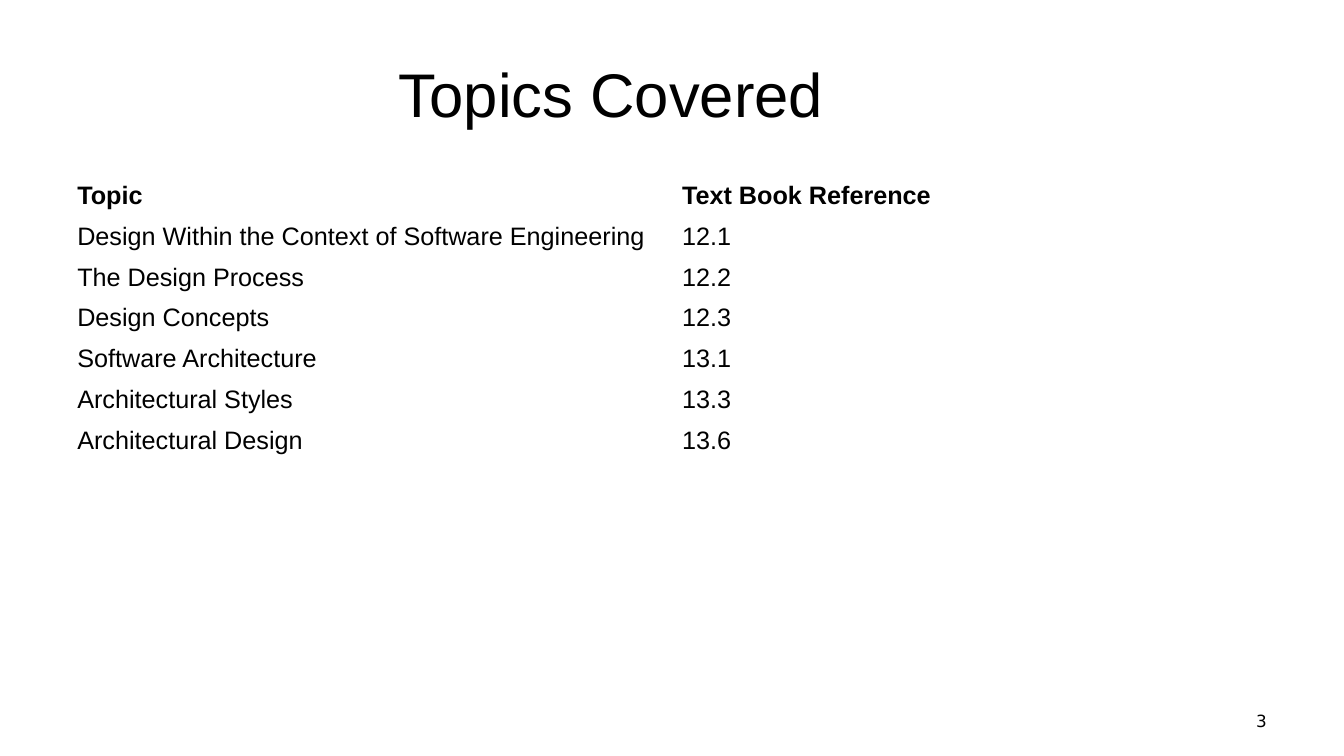
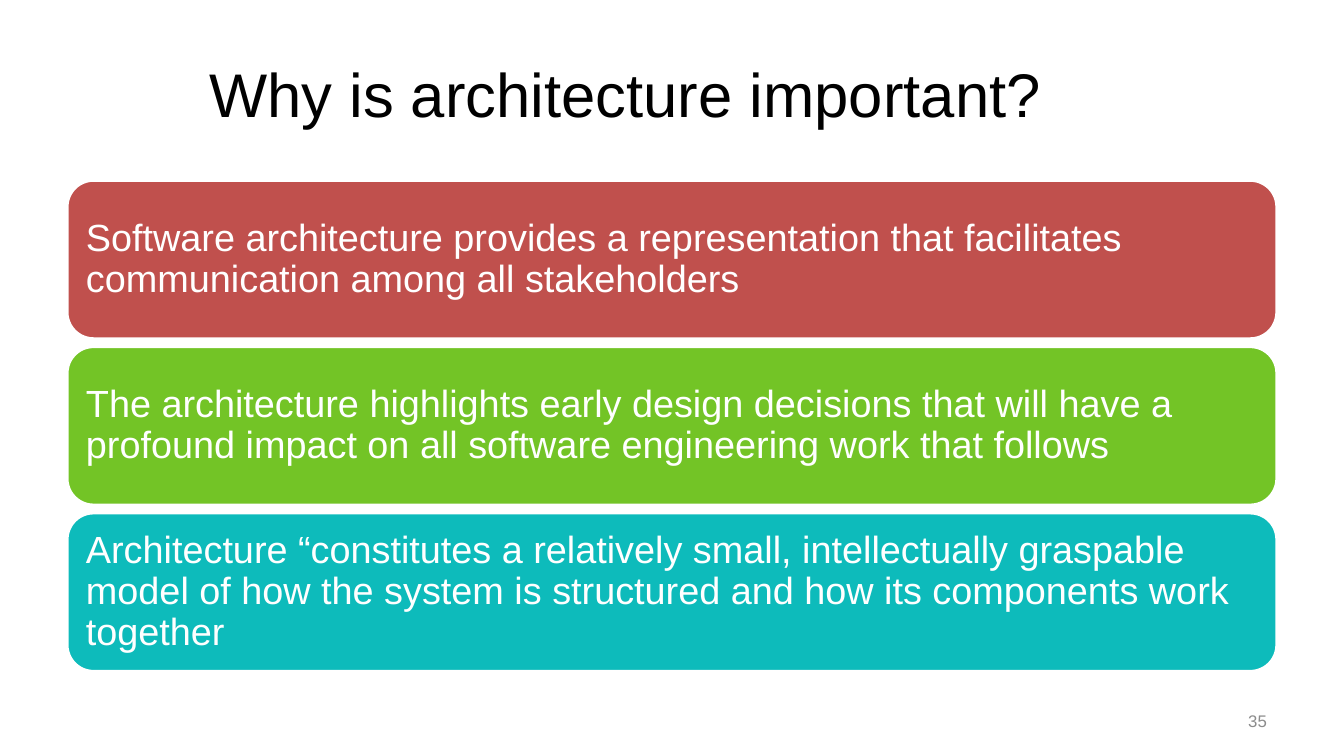
from dataclasses import dataclass

from pptx import Presentation
from pptx.dml.color import RGBColor
from pptx.enum.shapes import MSO_SHAPE as Shape
from pptx.enum.text import MSO_ANCHOR as Anchor, MSO_AUTO_SIZE as AutoSize, PP_ALIGN as Align
from pptx.util import Inches, Pt


@dataclass(frozen=True)
class Theme:
    font: str = "Arial"
    plain_font: str = "DejaVu Sans"
    ink: str = "000000"
    muted: str = "8C8C8C"
    white: str = "FFFFFF"
    cards: tuple = ("C0504D", "73C426", "0DBBBB")
    title_size: int = 44
    card_size: int = 27
    table_size: int = 18
    number_size: int = 12


theme = Theme()
deck = Presentation()
deck.slide_width, deck.slide_height = Inches(13.33), Inches(7.5)
WIDTH, HEIGHT = deck.slide_width, deck.slide_height
MARGIN = int(WIDTH * 0.05)
CONTENT_WIDTH = WIDTH - 2 * MARGIN


def add_span(para, text, size, color, font=theme.font, bold=False):
    span = para.add_run()
    span.text = text
    span.font.name, span.font.size, span.font.bold = font, Pt(size), bold
    span.font.color.rgb = RGBColor.from_string(color)


def add_page(title, number, number_color, number_font):
    """Add a title-only page with its title and page number."""
    page = deck.slides.add_slide(deck.slide_layouts[5])
    heading = page.shapes.title
    heading.left, heading.top = MARGIN, int(HEIGHT * 0.04)
    heading.width, heading.height = int(WIDTH * 0.831), int(HEIGHT / 6)
    frame = heading.text_frame
    frame.auto_size = AutoSize.NONE
    frame.vertical_anchor = Anchor.MIDDLE
    frame.paragraphs[0].alignment = Align.CENTER
    add_span(frame.paragraphs[0], title, theme.title_size, theme.ink)

    number_width = int(WIDTH * 0.233)
    box = page.shapes.add_textbox(WIDTH - MARGIN - number_width, int(HEIGHT * 0.927),
                                  number_width, int(HEIGHT * 0.053))
    frame = box.text_frame
    frame.word_wrap = True
    frame.vertical_anchor = Anchor.MIDDLE
    frame.paragraphs[0].alignment = Align.RIGHT
    add_span(frame.paragraphs[0], number, theme.number_size, number_color, number_font)
    return page


# Topics table
topics = [
    ("Topic", "Text Book Reference"),
    ("Design Within the Context of Software Engineering", "12.1"),
    ("The Design Process", "12.2"),
    ("Design Concepts", "12.3"),
    ("Software Architecture", "13.1"),
    ("Architectural Styles", "13.3"),
    ("Architectural Design", "13.6"),
]
topics += [("", "")] * 3

page = add_page("Topics Covered\t", "3", theme.ink, theme.plain_font)
table = page.shapes.add_table(len(topics), 2, MARGIN, Inches(1.75),
                              CONTENT_WIDTH, int(HEIGHT * 0.541)).table
table.first_row = table.horz_banding = False
for row, entries in enumerate(topics):
    for column, text in enumerate(entries):
        cell = table.cell(row, column)
        cell.fill.background()
        if text:
            add_span(cell.text_frame.paragraphs[0], text, theme.table_size, theme.ink,
                     bold=row == 0)

# Reasons as stacked cards
reasons = [
    "Software architecture provides a representation that facilitates communication "
    "among all stakeholders",
    "The architecture highlights early design decisions that will have a profound impact "
    "on all software engineering work that follows",
    "Architecture “constitutes a relatively small, intellectually graspable model of how "
    "the system is structured and how its components work together",
]
CARD_TOP, CARD_HEIGHT, CARD_GAP = Inches(1.79), Inches(1.57), Inches(0.08)

page = add_page("Why is architecture important?", "35", theme.muted, theme.font)
for index, (reason, color) in enumerate(zip(reasons, theme.cards)):
    card = page.shapes.add_shape(Shape.ROUNDED_RECTANGLE, MARGIN,
                                 CARD_TOP + index * (CARD_HEIGHT + CARD_GAP),
                                 CONTENT_WIDTH, CARD_HEIGHT)
    card.shadow.inherit = False
    card.fill.solid()
    card.fill.fore_color.rgb = RGBColor.from_string(color)
    card.line.color.rgb = RGBColor.from_string(theme.white)
    card.line.width = Pt(2)
    frame = card.text_frame
    frame.word_wrap = True
    frame.vertical_anchor = Anchor.MIDDLE
    frame.margin_left = frame.margin_right = Inches(0.11)
    frame.margin_top = frame.margin_bottom = Inches(0.11)
    para = frame.paragraphs[0]
    para.alignment = Align.LEFT
    para.line_spacing = 0.9
    add_span(para, reason, theme.card_size, theme.white)

deck.save("out.pptx")
